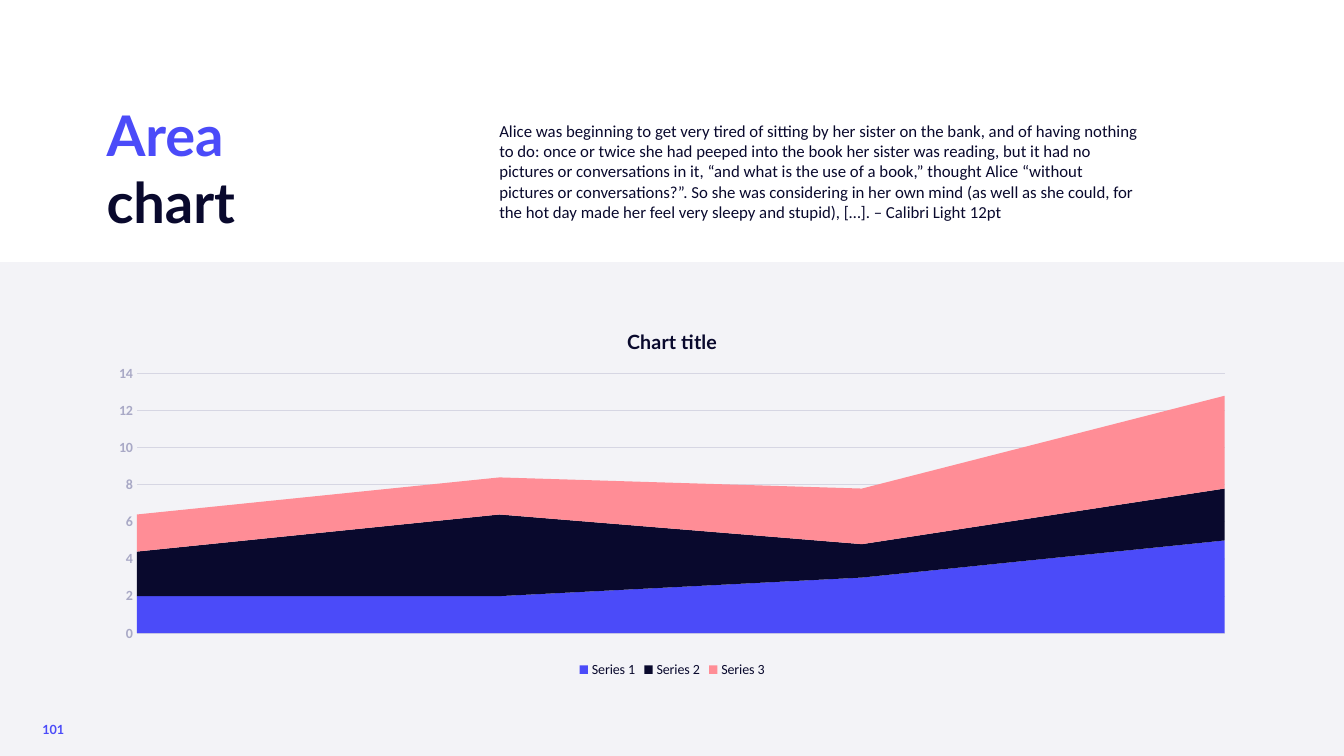
from lxml import etree
from pptx import Presentation
from pptx.chart.data import CategoryChartData as ChartData
from pptx.dml.color import RGBColor
from pptx.enum.chart import XL_CHART_TYPE as ChartType
from pptx.enum.chart import XL_LEGEND_POSITION as LegendPos
from pptx.enum.chart import XL_TICK_LABEL_POSITION as LabelPos
from pptx.enum.chart import XL_TICK_MARK as TickMark
from pptx.enum.shapes import MSO_SHAPE as Shape
from pptx.oxml.ns import qn
from pptx.util import Pt

BLUE = RGBColor(0x4B, 0x4B, 0xF9)
NAVY = RGBColor(0x09, 0x09, 0x2D)
PINK = RGBColor(0xFF, 0x8D, 0x96)
PALE = RGBColor(0xF3, 0xF3, 0xF7)
GREY = RGBColor(0xA9, 0xA9, 0xC6)
GRID = RGBColor(0xD6, 0xD6, 0xE3)

INTRO = (
    "Alice was beginning to get very tired of sitting by her sister on the bank, "
    "and of having nothing to do: once or twice she had peeped into the book her "
    "sister was reading, but it had no pictures or conversations in it, “and what "
    "is the use of a book,” thought Alice “without pictures or conversations?”. So "
    "she was considering in her own mind (as well as she could, for the hot day "
    "made her feel very sleepy and stupid), […]. – Calibri Light 12pt"
)
SERIES = [
    ("Series 1", (2, 2, 3, 5), BLUE),
    ("Series 2", (2.4, 4.4, 1.8, 2.8), NAVY),
    ("Series 3", (2, 2, 3, 5), PINK),
]


class Deck:
    heading = "Lato"
    body = "Calibri"

    def __init__(self, width, height):
        self.prs = Presentation()
        self.prs.slide_width, self.prs.slide_height = Pt(width), Pt(height)
        self.s = self.prs.slides.add_slide(self.prs.slide_layouts[6])

    def font(self, font, name, size, color, bold=False):
        font.name, font.size, font.bold = name, Pt(size), bold
        font.color.rgb = color

    def band(self, *box):
        sp = self.s.shapes.add_shape(Shape.RECTANGLE, *map(Pt, box))
        sp.shadow.inherit = False
        sp.fill.solid()
        sp.fill.fore_color.rgb = PALE
        sp.line.fill.background()

    def text(self, box, text, name, size, colors, bold=False, inset=None, spacing=None):
        tf = self.s.shapes.add_textbox(*map(Pt, box)).text_frame
        tf.word_wrap = True
        if inset is not None:
            tf.margin_left = tf.margin_right = Pt(inset)
            tf.margin_top = tf.margin_bottom = Pt(inset)
        p = tf.paragraphs[0]
        p.text = text
        p.line_spacing = spacing
        for r, color in zip(p.runs, colors):
            self.font(r.font, name, size, color, bold)

    def area_chart(self, box, title, categories, series, plot_box):
        data = ChartData()
        data.categories = categories
        for name, values, _ in series:
            data.add_series(name, values)
        frame = self.s.shapes.add_chart(ChartType.AREA_STACKED, *map(Pt, box), data)
        chart = frame.chart
        self.font(chart.font, self.heading, 12, NAVY)

        chart.has_title = True
        p = chart.chart_title.text_frame.paragraphs[0]
        p.text = title
        self.font(p.runs[0].font, self.heading, 14, NAVY, True)
        chart.chart_title.include_in_layout = False

        chart.has_legend = True
        chart.legend.position = LegendPos.BOTTOM
        chart.legend.include_in_layout = False
        self.font(chart.legend.font, self.body, 10, NAVY)

        chart.category_axis.visible = False
        axis = chart.value_axis
        axis.minimum_scale, axis.maximum_scale, axis.major_unit = 0, 14, 2
        axis.major_tick_mark = axis.minor_tick_mark = TickMark.NONE
        axis.tick_label_position = LabelPos.NEXT_TO_AXIS
        self.font(axis.tick_labels.font, self.body, 10, GREY, True)
        axis.format.line.fill.background()
        axis.has_major_gridlines = True
        axis.major_gridlines.format.line.color.rgb = GRID
        axis.major_gridlines.format.line.width = Pt(0.75)

        plot = chart.plots[0]
        plot.vary_by_categories = False
        for area, (_, _, color) in zip(plot.series, series):
            area.format.fill.solid()
            area.format.fill.fore_color.rgb = color
            area.format.line.fill.background()
        self.place_plot(chart, plot_box)

    def place_plot(self, chart, plot_box):
        area = chart._chartSpace.chart.plotArea
        for old in area.findall(qn("c:layout")):
            area.remove(old)
        layout = etree.Element(qn("c:layout"))
        manual = etree.SubElement(layout, qn("c:manualLayout"))
        tags = ("layoutTarget", "xMode", "yMode", "x", "y", "w", "h")
        for tag, value in zip(tags, ("inner", "edge", "edge", *plot_box)):
            etree.SubElement(manual, qn("c:" + tag)).set("val", str(value))
        area.insert(0, layout)


def main():
    deck = Deck(960, 540)
    deck.band(0, 187.2, 960, 352.8)
    deck.text((69, 68.4, 400, 110), "Area\vchart", deck.heading, 40, (BLUE, NAVY), True)
    deck.text((349.6, 82.8, 471, 80), INTRO, deck.body, 12, (NAVY,))
    deck.text((26.6, 513.4, 29, 17), "101", deck.heading, 9, (BLUE,), True, 3.6, 0.9)
    deck.area_chart((69, 221.8, 822.2, 265), "Chart title", ("1", "2", "3", "4"),
                    SERIES, (0.035, 0.17, 0.945, 0.7))
    deck.prs.save("out.pptx")


if __name__ == "__main__":
    main()
